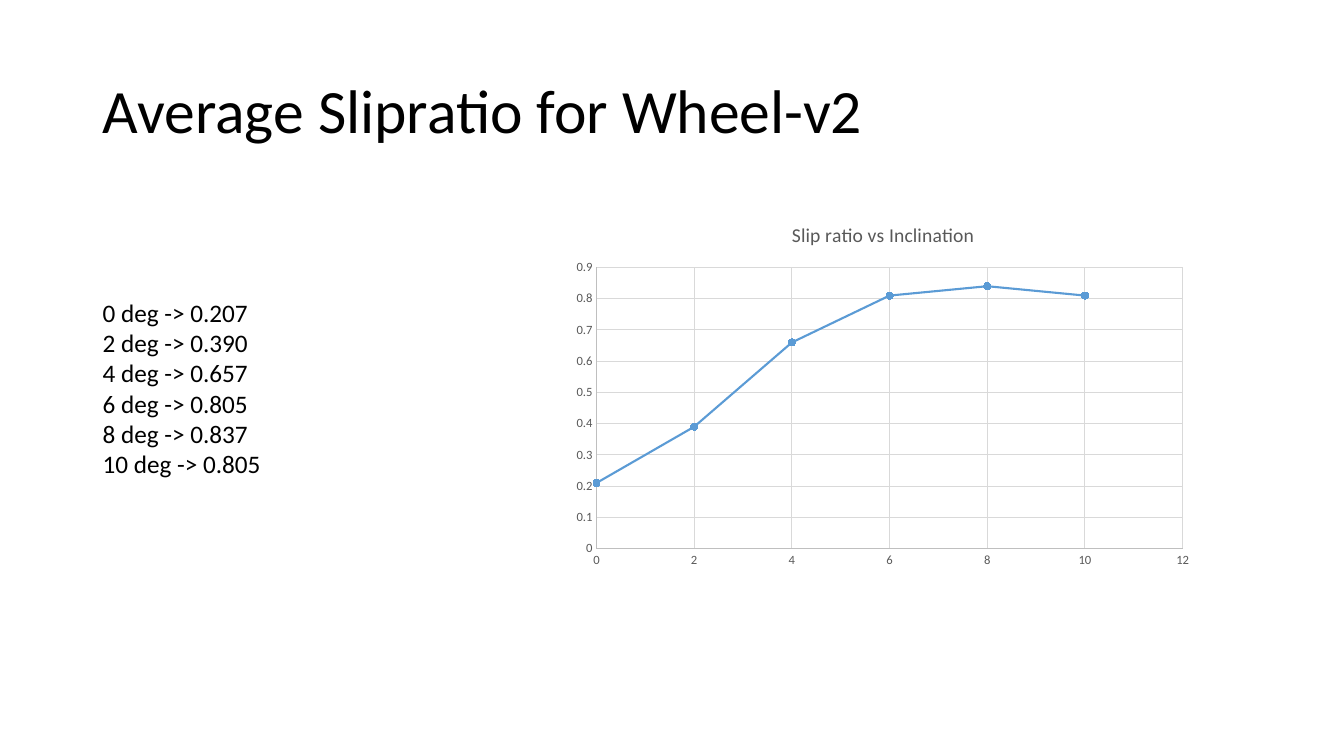
from lxml import etree
from pptx import Presentation
from pptx.chart.data import XyChartData
from pptx.dml.color import RGBColor
from pptx.enum.chart import XL_CHART_TYPE, XL_MARKER_STYLE, XL_TICK_MARK
from pptx.enum.text import MSO_ANCHOR, MSO_AUTO_SIZE, PP_ALIGN
from pptx.oxml.ns import qn
from pptx.util import Inches, Pt

SCATTER_LINES = XL_CHART_TYPE.XY_SCATTER_LINES
CIRCLE = XL_MARKER_STYLE.CIRCLE
NO_TICK = XL_TICK_MARK.NONE
MIDDLE = MSO_ANCHOR.MIDDLE
FIT_SHAPE = MSO_AUTO_SIZE.SHAPE_TO_FIT_TEXT
LEFT = PP_ALIGN.LEFT

BLACK = RGBColor(0x00, 0x00, 0x00)
LABEL_GRAY = RGBColor(0x59, 0x59, 0x59)
AXIS_GRAY = RGBColor(0xBF, 0xBF, 0xBF)
GRID_GRAY = RGBColor(0xD9, 0xD9, 0xD9)
CURVE_BLUE = RGBColor(0x5B, 0x9B, 0xD5)

FONT = "Calibri"
TITLE_ONLY = 5
SLIP_RATIOS = {0: 0.207, 2: 0.390, 4: 0.657, 6: 0.805, 8: 0.837, 10: 0.805}
PLOT_LAYOUT = {"layoutTarget": "inner", "xMode": "edge", "yMode": "edge",
               "x": 0.05, "y": 0.17, "w": 0.92, "h": 0.76}


def apply_format(target, values):
    for attribute, value in values.items():
        setattr(target, attribute, value)


def format_font(font, size, color):
    apply_format(font, {"name": FONT, "size": Pt(size), "bold": False})
    font.color.rgb = color


def format_line(line, color, width):
    line.color.rgb = color
    line.width = Pt(width)


def place_title(slide, box):
    title = slide.shapes.title
    apply_format(title, dict(zip(("left", "top", "width", "height"), box)))
    title.text_frame.text = "Average Slipratio for Wheel-v2"
    apply_format(title.text_frame, {"vertical_anchor": MIDDLE, "word_wrap": True})
    heading = title.text_frame.paragraphs[0]
    apply_format(heading, {"alignment": LEFT, "line_spacing": 0.9})
    format_font(heading.font, 44, BLACK)


def place_readings(slide, box):
    readings = slide.shapes.add_textbox(*box).text_frame
    readings.text = "\n".join(
        f"{angle} deg -> {ratio:.3f}" for angle, ratio in SLIP_RATIOS.items())
    apply_format(readings, {"word_wrap": True, "auto_size": FIT_SHAPE})
    for reading in readings.paragraphs:
        format_font(reading.font, 18, BLACK)


def format_axis(axis, maximum, step):
    apply_format(axis, {"minimum_scale": 0, "maximum_scale": maximum,
                        "major_unit": step, "major_tick_mark": NO_TICK,
                        "minor_tick_mark": NO_TICK, "has_major_gridlines": True})
    apply_format(axis.tick_labels, {"number_format": "General",
                                    "number_format_is_linked": False})
    format_font(axis.tick_labels.font, 9, LABEL_GRAY)
    format_line(axis.format.line, AXIS_GRAY, 0.75)
    format_line(axis.major_gridlines.format.line, GRID_GRAY, 0.75)


def fix_plot_area(chart):
    plot_area = chart.element.find(".//" + qn("c:plotArea"))
    layout = plot_area.find(qn("c:layout"))
    if layout is None:
        layout = etree.Element(qn("c:layout"))
        plot_area.insert(0, layout)
    manual = etree.SubElement(layout, qn("c:manualLayout"))
    for name, value in PLOT_LAYOUT.items():
        etree.SubElement(manual, qn("c:" + name)).set("val", str(value))


def place_slip_chart(slide, box):
    data = XyChartData()
    slip_points = data.add_series("Series 1")
    for angle, ratio in SLIP_RATIOS.items():
        slip_points.add_data_point(angle, round(ratio, 2))
    chart = slide.shapes.add_chart(SCATTER_LINES, *box, data).chart
    apply_format(chart, {"has_legend": False, "has_title": True})
    format_font(chart.font, 10, BLACK)

    chart_title = chart.chart_title
    chart_title.include_in_layout = False
    chart_title.text_frame.text = "Slip ratio vs Inclination"
    format_font(chart_title.text_frame.paragraphs[0].font, 14, LABEL_GRAY)

    format_axis(chart.category_axis, 12, 2)
    format_axis(chart.value_axis, 0.9, 0.1)
    fix_plot_area(chart)

    chart.plots[0].vary_by_categories = False
    curve = chart.plots[0].series[0]
    curve.smooth = False
    format_line(curve.format.line, CURVE_BLUE, 1.5)
    apply_format(curve.marker, {"style": CIRCLE, "size": 5})
    curve.marker.format.fill.solid()
    curve.marker.format.fill.fore_color.rgb = CURVE_BLUE
    format_line(curve.marker.format.line, CURVE_BLUE, 0.75)


def main():
    deck = Presentation()
    deck.slide_width, deck.slide_height = Inches(13.33), Inches(7.5)
    slide = deck.slides.add_slide(deck.slide_layouts[TITLE_ONLY])
    place_title(slide, [Inches(n) for n in (0.92, 0.4, 11.5, 1.45)])
    place_readings(slide, [Inches(n) for n in (0.92, 2.9, 2.44, 1.92)])
    place_slip_chart(slide, [Inches(n) for n in (5.6, 2.03, 6.32, 3.67)])
    deck.save("out.pptx")


if __name__ == "__main__":
    main()
